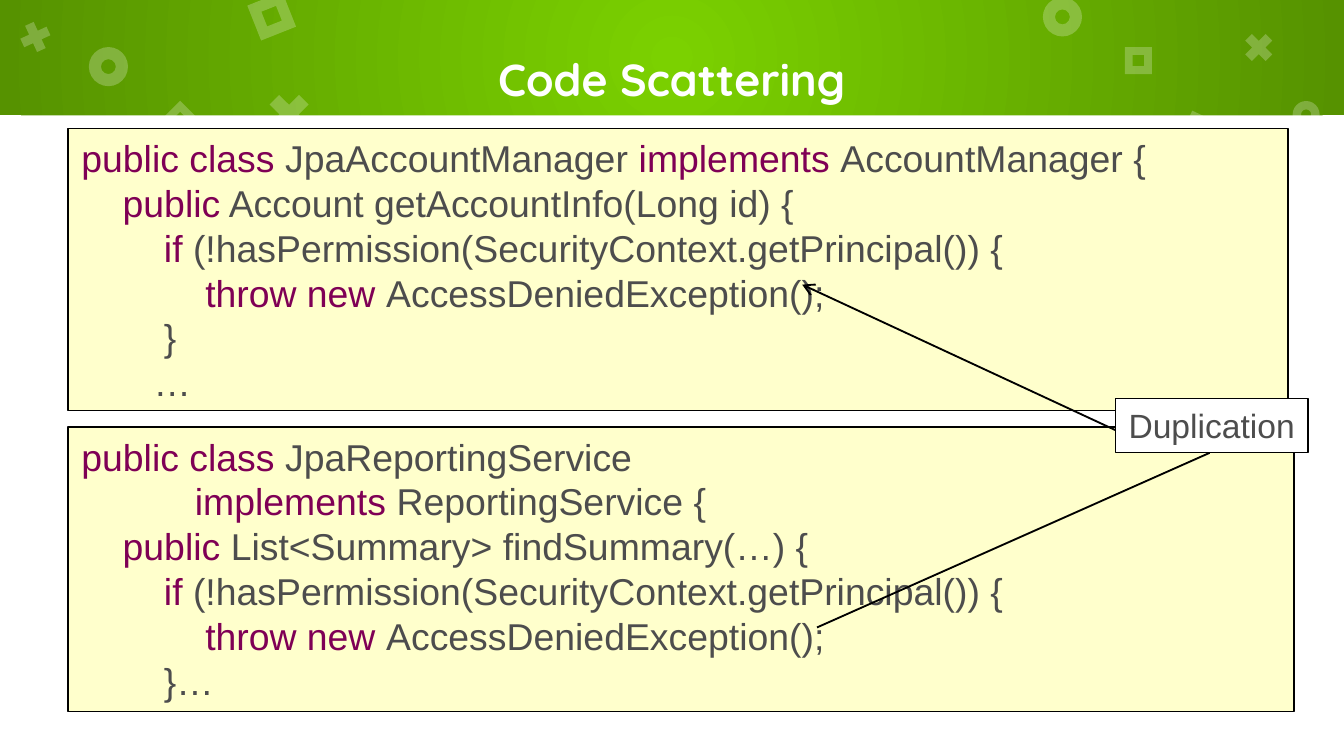
"""Build the Code Scattering slide with two code panels and a duplication callout."""
from dataclasses import dataclass
from itertools import cycle

from lxml.etree import SubElement
from pptx import Presentation
from pptx.dml.color import RGBColor as RGB
from pptx.enum.shapes import MSO_CONNECTOR as Connector, MSO_SHAPE as Shape
from pptx.enum.text import MSO_ANCHOR as Anchor, MSO_AUTO_SIZE as AutoSize, PP_ALIGN as Align
from pptx.oxml.ns import qn
from pptx.util import Cm, Pt


@dataclass(frozen=True)
class Theme:
    green: RGB = RGB(0x7B, 0xD1, 0x00)
    dark_green: RGB = RGB(0x56, 0x92, 0x00)
    white: RGB = RGB(0xFF, 0xFF, 0xFF)
    black: RGB = RGB(0x00, 0x00, 0x00)
    cream: RGB = RGB(0xFF, 0xFF, 0xCC)
    keyword: RGB = RGB(0x7F, 0x00, 0x55)
    plain: RGB = RGB(0x4D, 0x4D, 0x4D)
    title_font: str = "Quicksand"
    code_font: str = "Arial"
    title_size: Pt = Pt(24)
    code_size: Pt = Pt(20)
    code_leading: Pt = Pt(24)
    label_size: Pt = Pt(18)


theme = Theme()


def add_box(kind, left, top, width, height, fill=None, line_width=None):
    shape = slide.shapes.add_shape(kind, Cm(left), Cm(top), Cm(width), Cm(height))
    shape.shadow.inherit = False
    if fill is not None:
        shape.fill.solid()
        shape.fill.fore_color.rgb = fill
    if line_width:
        shape.line.color.rgb = theme.black
        shape.line.width = Pt(line_width)
    else:
        shape.line.fill.background()
    frame = shape.text_frame
    frame.word_wrap = True
    frame.vertical_anchor = Anchor.TOP
    frame.margin_left = frame.margin_right = Cm(0.25)
    frame.margin_top = frame.margin_bottom = Cm(0.13)
    return shape


def add_run(paragraph, text, font_name, size, color):
    run = paragraph.add_run()
    run.text = text
    run.font.name = font_name
    run.font.size = size
    run.font.color.rgb = color
    return run


presentation = Presentation()
presentation.slide_width = Cm(25.4)
presentation.slide_height = Cm(14.29)
slide = presentation.slides.add_slide(presentation.slide_layouts[5])
slide.background.fill.solid()
slide.background.fill.fore_color.rgb = theme.white

header = add_box(Shape.RECTANGLE, 0, 0, 25.4, 2.18)
header.fill.gradient()
stops = zip(header.fill.gradient_stops, (theme.green, theme.dark_green), (0, 1))
for stop, color, position in stops:
    stop.color.rgb = color
    stop.position = position
gradient = header.element.spPr.find(qn("a:gradFill"))
gradient.remove(gradient.find(qn("a:lin")))
radial = SubElement(gradient, qn("a:path"), path="circle")
SubElement(radial, qn("a:fillToRect"), l="50000", t="50000", r="50000", b="50000")

ornaments = [
    (Shape.DONUT, 1.68, 0.89, 0.74, 0),
    (Shape.MATH_MULTIPLY, 4.93, 1.63, 1.07, 0),
    (Shape.FRAME, 4.78, -0.05, 0.71, 338.4),
    (Shape.DONUT, 19.71, -0.05, 0.74, 0),
    (Shape.MATH_MULTIPLY, 19.63, 2.13, 1.07, 17.5),
    (Shape.FRAME, 22.35, 2.21, 0.71, 25),
    (Shape.MATH_MULTIPLY, 0.3, 0.33, 0.74, 20.4),
    (Shape.FRAME, 3.15, 2.01, 0.51, 45),
    (Shape.DONUT, 24.43, 1.91, 0.51, 0),
    (Shape.MATH_MULTIPLY, 23.42, 0.53, 0.74, 0),
    (Shape.FRAME, 21.26, 0.89, 0.51, 0),
]
thickness = {Shape.DONUT: 0.31, Shape.MATH_MULTIPLY: 0.24, Shape.FRAME: 0.29}
for kind, left, top, side, angle in ornaments:
    ornament = add_box(kind, left, top, side, side, theme.white)
    ornament.rotation = angle
    ornament.adjustments[0] = thickness[kind]
    color_element = ornament.element.spPr.find(".//" + qn("a:srgbClr"))
    SubElement(color_element, qn("a:alpha"), val="24000")

add_box(Shape.RECTANGLE, 0, 2.18, 25.4, 12.11, theme.white)

title = slide.shapes.title
slide.shapes.element.append(title.element)
title.left, title.top, title.width, title.height = Cm(2.41), Cm(0), Cm(20.57), Cm(2.98)
title.text_frame.auto_size = AutoSize.NONE
title.text_frame.vertical_anchor = Anchor.MIDDLE
title_paragraph = title.text_frame.paragraphs[0]
title_paragraph.alignment = Align.CENTER
title_run = add_run(title_paragraph, "Code Scattering", theme.title_font, theme.title_size, theme.white)
title_run.font.bold = True

permission_check = [
    (2, "if", " (!hasPermission(SecurityContext.getPrincipal()) {"),
    (3, "throw new ", "AccessDeniedException();"),
]
account_code = [
    (0, "public class ", "JpaAccountManager ", "implements ", "AccountManager {"),
    (1, "public", " Account getAccountInfo(Long id) {"),
    *permission_check,
    (2, "", "}"),
    (1.75, "", "…"),
]
reporting_code = [
    (0, "public class ", "JpaReportingService"),
    (2.75, "implements ", "ReportingService {"),
    (1, "public", " List<Summary> findSummary(…) {"),
    *permission_check,
    (2, "", "}…"),
]
panels = [(2.43, 23.06, 5.33, account_code), (8.07, 23.16, 5.38, reporting_code)]
for top, width, height, code in panels:
    panel = add_box(Shape.RECTANGLE, 1.29, top, width, height, theme.cream, 1)
    frame = panel.text_frame
    for number, (level, *pieces) in enumerate(code):
        paragraph = frame.add_paragraph() if number else frame.paragraphs[0]
        paragraph.alignment = Align.LEFT
        paragraph.line_spacing = theme.code_leading
        properties = paragraph._p.get_or_add_pPr()
        properties.set("marL", str(Cm(0.78 * level)))
        properties.set("indent", "0")
        for piece, color in zip(pieces, cycle((theme.keyword, theme.plain))):
            if piece:
                add_run(paragraph, piece, theme.code_font, theme.code_size, color)

pointers = [(21.08, 8.13, 15.16, 5.38, True), (22.86, 8.56, 15.44, 11.86, False)]
for start_x, start_y, end_x, end_y, has_arrow in pointers:
    pointer = slide.shapes.add_connector(
        Connector.STRAIGHT, Cm(start_x), Cm(start_y), Cm(end_x), Cm(end_y))
    pointer.line.color.rgb = theme.black
    pointer.line.width = Pt(1)
    if has_arrow:
        SubElement(pointer.line._get_or_add_ln(), qn("a:tailEnd"), type="arrow")
    SubElement(pointer.element.spPr, qn("a:effectLst"))

label = add_box(Shape.RECTANGLE, 21.08, 7.53, 3.64, 1.02, theme.white, 0.75)
label.text_frame.word_wrap = False
label.text_frame.margin_left = label.text_frame.margin_right = Cm(0.1)
label_paragraph = label.text_frame.paragraphs[0]
label_paragraph.alignment = Align.CENTER
add_run(label_paragraph, "Duplication", theme.code_font, theme.label_size, theme.plain)

presentation.save("out.pptx")
